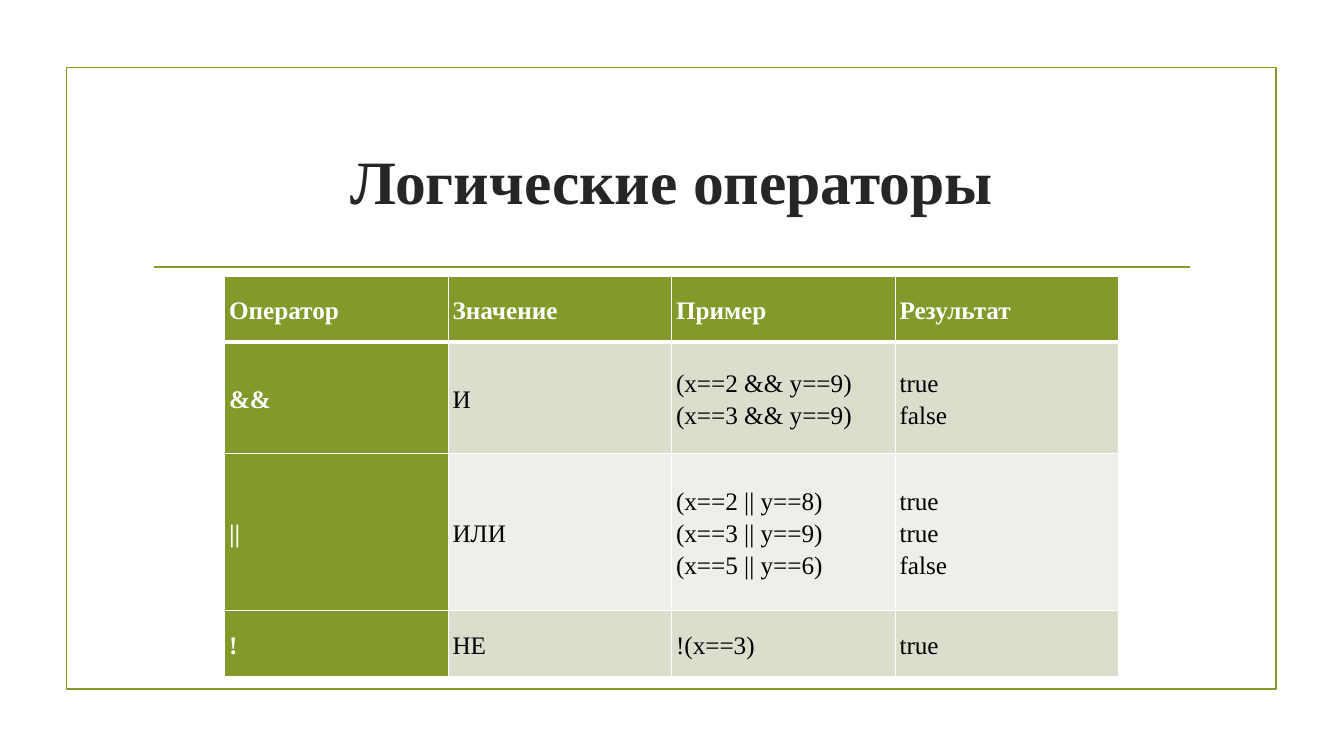
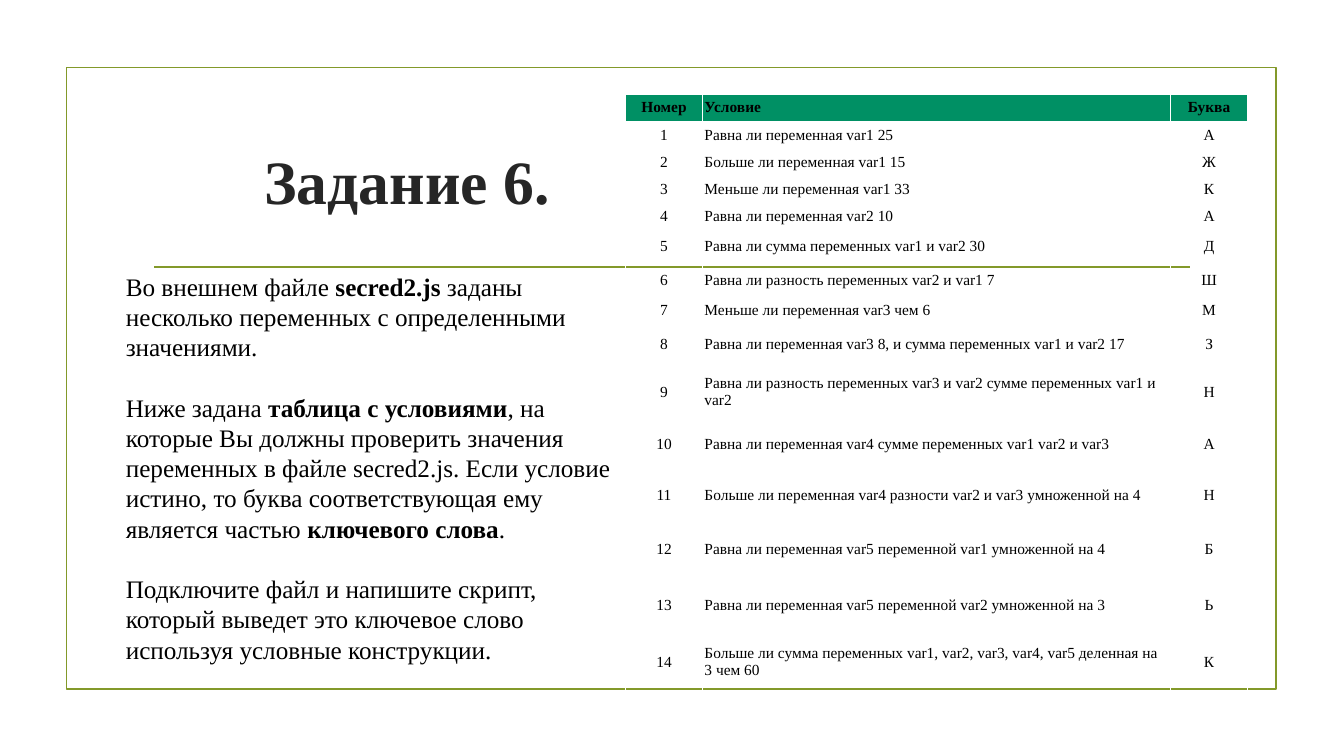
"""Build two slides on logical operators: a reference table and an exercise."""
from dataclasses import dataclass

from lxml.etree import SubElement
from pptx import Presentation
from pptx.dml.color import RGBColor
from pptx.enum.shapes import MSO_CONNECTOR, MSO_SHAPE
from pptx.enum.text import MSO_ANCHOR, PP_ALIGN
from pptx.oxml.ns import qn
from pptx.slide import Slide
from pptx.table import _Cell
from pptx.text.text import _Run
from pptx.util import Pt

FONT = "Times New Roman"
COLORS = {
    "olive": "83992A",
    "title": "262626",
    "black": "000000",
    "white": "FFFFFF",
    "band_dark": "D9DECD",
    "band_light": "EDEFE8",
    "green": "009064",
}
LEFT, CENTER = PP_ALIGN.LEFT, PP_ALIGN.CENTER


@dataclass(frozen=True)
class Box:
    """A rectangle in points."""

    left: float
    top: float
    width: float
    height: float

    def emu(self) -> tuple[Pt, Pt, Pt, Pt]:
        """Return the four lengths."""
        return Pt(self.left), Pt(self.top), Pt(self.width), Pt(self.height)


@dataclass(frozen=True)
class TableLook:
    """Place, measures and formats of one table."""

    left: float
    top: float
    columns: list[float]
    rows: list[float]
    aligns: list[PP_ALIGN]
    size: float
    margin_side: float
    margin_edge: float
    border: float
    header_border: float
    header_fill: str
    header_text: str
    bands: list[str | None]
    first_column: bool
    paragraph: dict[str, object]


@dataclass(frozen=True)
class Span:
    """A stretch of text, bold or plain."""

    text: str
    bold: bool = False


FRAME = Box(47.5, 48.2, 864, 444.2)
RULE_LEFT, RULE_RIGHT, RULE_TOP = 110.2, 850.3, 190.8
RULE_WIDTH = 1.25

OPERATORS = [
    ("Оператор", "Значение", "Пример", "Результат"),
    ("&&", "И", "(x==2 && y==9)\n(x==3 && y==9)", "true\nfalse"),
    ("||", "ИЛИ", "(x==2 || y==8)\n(x==3 || y==9)\n(x==5 || y==6)", "true\ntrue\nfalse"),
    ("!", "НЕ", "!(x==3)", "true"),
]
OPERATOR_LOOK = TableLook(
    left=160.6, top=197.3, columns=[159.66] * 4, rows=[46.8, 79.6, 112.6, 46.8],
    aligns=[LEFT] * 4, size=18, margin_side=3, margin_edge=3, border=1, header_border=3,
    header_fill="olive", header_text="white", bands=["band_dark", "band_light"],
    first_column=True, paragraph={"line_spacing": 1.15, "space_after": Pt(4)},
)

CONDITIONS = [
    ("Равна ли переменная var1 25", "А"),
    ("Больше ли переменная var1 15", "Ж"),
    ("Меньше ли переменная var1 33", "К"),
    ("Равна ли переменная var2 10", "А"),
    ("Равна ли сумма переменных var1 и var2 30", "Д"),
    ("Равна ли разность переменных var2 и var1 7", "Ш"),
    ("Меньше ли переменная var3 чем 6", "М"),
    ("Равна ли переменная var3 8, и сумма переменных var1 и var2 17", "З"),
    ("Равна ли разность переменных var3 и var2 сумме переменных var1 и var2", "Н"),
    ("Равна ли переменная var4 сумме переменных var1 var2 и var3", "А"),
    ("Больше ли переменная var4 разности var2 и var3 умноженной на 4", "Н"),
    ("Равна ли переменная var5 переменной var1 умноженной на 4", "Б"),
    ("Равна ли переменная var5 переменной var2 умноженной на 3", "Ь"),
    ("Больше ли сумма переменных var1, var2, var3, var4, var5 деленная на 3 чем 60", "К"),
]
CONDITION_ROWS = [("Номер", "Условие", "Буква")] + [
    (str(number), *condition) for number, condition in enumerate(CONDITIONS, 1)
]
CONDITION_LOOK = TableLook(
    left=446.6, top=67.3, columns=[55.4, 334, 55.4],
    rows=[19.4] * 5 + [23.8] * 2 + [19.4, 28.8, 40.3, 34.6, 37.4] + [40.3] * 3,
    aligns=[CENTER, LEFT, CENTER], size=11, margin_side=1.2, margin_edge=0.8,
    border=0.75, header_border=0.75, header_fill="green", header_text="black",
    bands=[None], first_column=False, paragraph={},
)

TASK = [
    [
        Span("Во внешнем файле "),
        Span("secred2.js", True),
        Span(" заданы несколько переменных с определенными значениями."),
    ],
    [
        Span("Ниже задана "),
        Span("таблица с условиями", True),
        Span(
            ", на которые Вы должны проверить значения переменных в файле secred2.js. "
            "Если условие истино, то буква соответствующая ему является частью "
        ),
        Span("ключевого слова", True),
        Span("."),
    ],
    [
        Span(
            "Подключите файл и напишите скрипт, который выведет это ключевое слово "
            "используя условные конструкции."
        )
    ],
]
TASK_BOX = Box(82.8, 188.6, 364.3, 290.9)
TASK_PITCH = 21.6


def rgb(name: str) -> RGBColor:
    """Look up a colour by name."""
    return RGBColor.from_string(COLORS[name])


def apply(target: object, values: dict[str, object]) -> None:
    """Set attributes from a dict."""
    for name, value in values.items():
        setattr(target, name, value)


def format_run(run: _Run, size: float, color: str, bold: bool) -> None:
    """Set the font of a run."""
    apply(run.font, {"name": FONT, "size": Pt(size), "bold": bold})
    run.font.color.rgb = rgb(color)


def add_page(deck: Presentation, title: str, box: Box) -> Slide:
    """Add a slide with the shared frame, rule and title."""
    page = deck.slides.add_slide(deck.slide_layouts[5])
    frame = page.shapes.add_shape(MSO_SHAPE.RECTANGLE, *FRAME.emu())
    frame.shadow.inherit = False
    frame.fill.background()
    rule = page.shapes.add_connector(
        MSO_CONNECTOR.STRAIGHT, Pt(RULE_LEFT), Pt(RULE_TOP), Pt(RULE_RIGHT), Pt(RULE_TOP)
    )
    SubElement(rule._element.spPr, qn("a:effectLst"))
    for outlined in (frame, rule):
        outlined.line.color.rgb = rgb("olive")
        outlined.line.width = Pt(RULE_WIDTH)
    heading = page.shapes.title
    apply(heading, dict(zip(("left", "top", "width", "height"), box.emu())))
    heading.text_frame.text = title
    apply(heading.text_frame, {"vertical_anchor": MSO_ANCHOR.MIDDLE, "word_wrap": True})
    para = heading.text_frame.paragraphs[0]
    para.alignment = CENTER
    format_run(para.runs[0], 44, "title", True)
    return page


def set_borders(cell: _Cell, widths: dict[str, float]) -> None:
    """Draw white borders of the given widths around a cell."""
    properties = cell._tc.get_or_add_tcPr()
    for index, (side, width) in enumerate(widths.items()):
        line = SubElement(properties, qn(f"a:{side}"), w=str(Pt(width)))
        fill = SubElement(line, qn("a:solidFill"))
        SubElement(fill, qn("a:srgbClr"), val=COLORS["white"])
        properties.insert(index, line)


def fill_cell(cell: _Cell, text: str, row: int, column: int, look: TableLook) -> None:
    """Write and format one table cell."""
    is_header = row == 0 or (look.first_column and column == 0)
    apply(cell, {
        "text": "",
        "vertical_anchor": MSO_ANCHOR.MIDDLE,
        "margin_left": Pt(look.margin_side),
        "margin_right": Pt(look.margin_side),
        "margin_top": Pt(look.margin_edge),
        "margin_bottom": Pt(look.margin_edge),
    })
    para = cell.text_frame.paragraphs[0]
    para.text = text
    apply(para, {"alignment": look.aligns[column], **look.paragraph})
    for run in para.runs:
        format_run(run, look.size, look.header_text if is_header else "black", is_header)
    fill = look.header_fill if is_header else look.bands[(row - 1) % len(look.bands)]
    if fill:
        cell.fill.solid()
        cell.fill.fore_color.rgb = rgb(fill)
    else:
        cell.fill.background()
    set_borders(cell, {
        "lnL": look.border,
        "lnR": look.border,
        "lnT": look.header_border if row == 1 else look.border,
        "lnB": look.header_border if row == 0 else look.border,
    })


def add_grid(page: Slide, rows: list[tuple[str, ...]], look: TableLook) -> None:
    """Add a table with the given look."""
    box = Box(look.left, look.top, sum(look.columns), sum(look.rows))
    table = page.shapes.add_table(len(look.rows), len(look.columns), *box.emu()).table
    apply(table, {"first_row": True, "first_col": look.first_column, "horz_banding": False})
    for column, width in zip(table.columns, look.columns):
        column.width = Pt(width)
    for row, height in zip(table.rows, look.rows):
        row.height = Pt(height)
    for row_index, texts in enumerate(rows):
        for column_index, text in enumerate(texts):
            cell = table.cell(row_index, column_index)
            fill_cell(cell, text, row_index, column_index, look)


def add_task(page: Slide) -> None:
    """Add the exercise text."""
    frame = page.shapes.add_textbox(*TASK_BOX.emu()).text_frame
    apply(frame, {"word_wrap": True, "vertical_anchor": MSO_ANCHOR.MIDDLE})
    for index, spans in enumerate(TASK):
        para = frame.add_paragraph() if index else frame.paragraphs[0]
        apply(para, {
            "line_spacing": Pt(TASK_PITCH),
            "space_before": Pt(TASK_PITCH if index else 0),
        })
        for span in spans:
            run = para.add_run()
            run.text = span.text
            format_run(run, 18, "black", span.bold)


def main() -> None:
    """Build and save the deck."""
    deck = Presentation()
    apply(deck, {"slide_width": Pt(960), "slide_height": Pt(540)})
    operators = add_page(deck, "Логические операторы", Box(102.2, 77, 756, 103))
    add_grid(operators, OPERATORS, OPERATOR_LOOK)
    exercise = add_page(deck, "Задание 6.", Box(102.2, 77, 377.3, 103))
    add_grid(exercise, CONDITION_ROWS, CONDITION_LOOK)
    add_task(exercise)
    deck.save("out.pptx")


if __name__ == "__main__":
    main()
